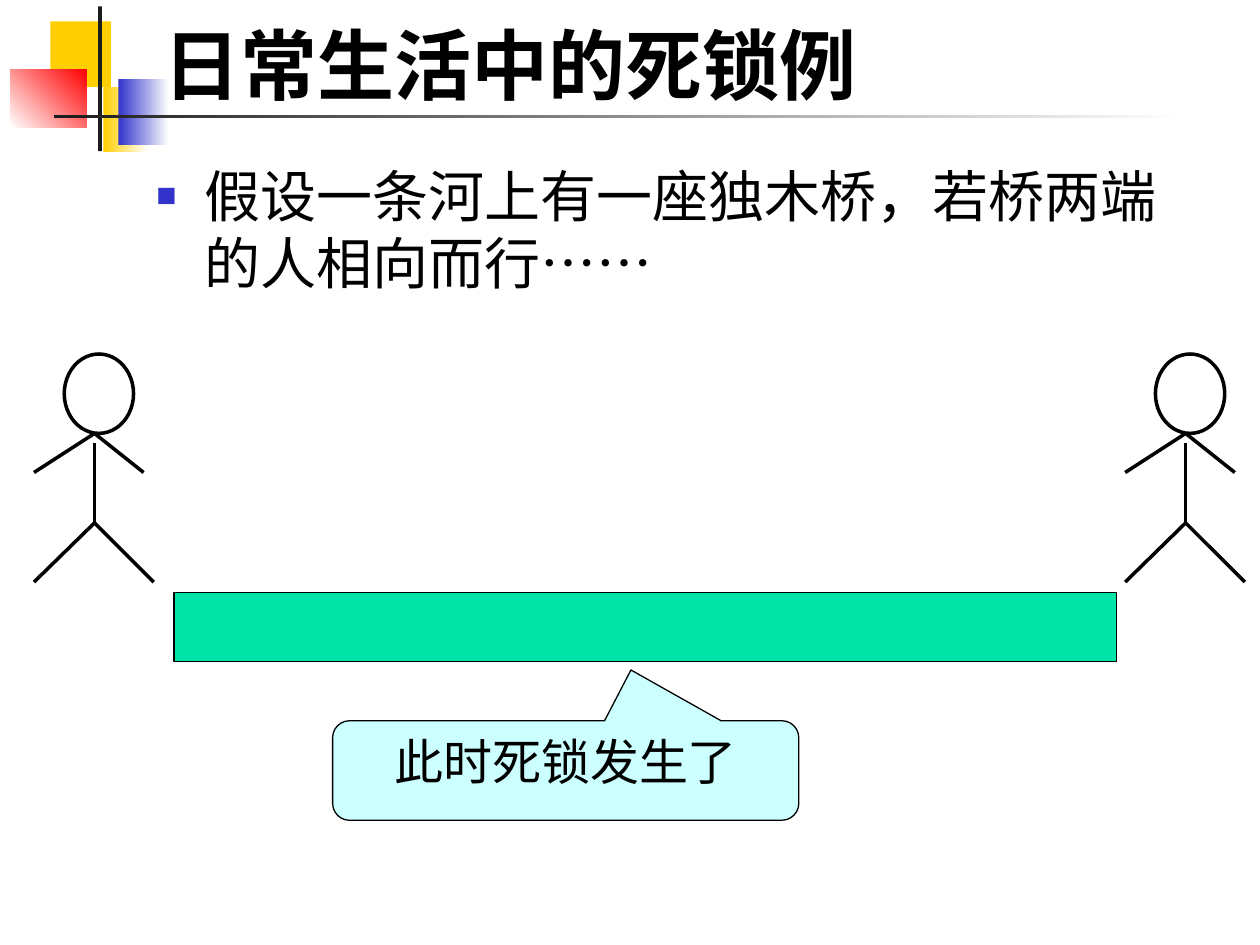
from lxml.etree import SubElement as Sub
from pptx import Presentation
from pptx.dml.color import RGBColor as Rgb
from pptx.enum.shapes import MSO_CONNECTOR as Conn, MSO_SHAPE as Shape
from pptx.enum.text import MSO_ANCHOR as Anchor, MSO_AUTO_SIZE as Auto, PP_ALIGN as Align
from pptx.oxml.ns import qn
from pptx.util import Inches, Pt

INK = {name: Rgb.from_string(code) for name, code in {
    "black": "000000", "white": "FFFFFF", "gold": "FFCF01", "blue": "3333CC",
    "red": "FF0000", "dark": "1C1C1C", "green": "00E4A8", "pale": "CCFFFF"}.items()}

deck = Presentation()
deck.slide_width, deck.slide_height = Inches(10), Inches(7.5)
COL, ROW = deck.slide_width / 100, deck.slide_height / 75  # grid of 100 x 75

slide = deck.slides.add_slide(deck.slide_layouts[1])
title, body = slide.placeholders
tree = slide.shapes


def draw(home, kind, box, fill=None, fade=None, angle=0, line=None):
    """Add a preset shape to home; fade is the second colour of a gradient."""
    x, y, w, h = box
    item = home.add_shape(kind, int(x * COL), int(y * ROW), int(w * COL), int(h * ROW))
    item.shadow.inherit = False
    if fade:
        item.fill.gradient()
        item.fill.gradient_angle = angle
        for stop, name in zip(item.fill.gradient_stops, (fill, fade)):
            stop.color.rgb = INK[name]
    elif fill:
        item.fill.solid()
        item.fill.fore_color.rgb = INK[fill]
    else:
        item.fill.background()
    if line:
        item.line.color.rgb, item.line.width = INK["black"], Pt(line)
    else:
        item.line.fill.background()
    return item


def write(item, text, size, **form):
    """Fill item with one left-aligned paragraph; form holds more font values."""
    para = item.text_frame.paragraphs[0]
    para.text = text
    para.alignment = Align.LEFT
    para.space_before = Pt(0)
    for key, value in {"name": "Roboto", "size": Pt(size), **form}.items():
        setattr(para.runs[0].font, key, value)
    para.runs[0].font.color.rgb = INK["black"]
    return para


# Corner ornament
for box, *look in (
    ((4, 1.7, 4.8, 5.2), "gold"),
    ((8.2, 6.9, 3.6, 5.2), "gold", "white"),
    ((9.4, 6.3, 4, 5.2), "blue", "white"),
    ((0.8, 5.5, 6.1, 4.6), "white", "red", 45),
    ((7.8, 0.5, 0.3, 11.5), "dark"),
    ((4.3, 9.1, 90, 0.3), "dark", "white"),
):
    draw(tree, Shape.RECTANGLE, box, *look)

# Title and body, stacked above the ornament
for item, (x, y, w, h), anchor in (
    (title, (12, 1.7, 85.2, 7.5), Anchor.BOTTOM),
    (body, (11.4, 12.3, 85, 13.4), Anchor.TOP),
):
    item.left, item.top, item.width, item.height = (
        int(x * COL), int(y * ROW), int(w * COL), int(h * ROW))
    item.text_frame.auto_size = Auto.NONE
    item.text_frame.vertical_anchor = anchor
    tree._spTree.append(item._element)

write(title, "日常生活中的死锁例", 44, bold=True)
para = write(body, "假设一条河上有一座独木桥，若桥两端的人相向而行……", 32)
props = para._p.get_or_add_pPr()
for key, value in {"marL": 0.38, "indent": -0.38}.items():
    props.set(key, str(Inches(value)))
Sub(Sub(props, qn("a:buClr")), qn("a:srgbClr"), val=str(INK["blue"]))
Sub(props, qn("a:buSzPct"), val="60000")
Sub(props, qn("a:buChar"), char="■")

# Bridge
draw(tree, Shape.RECTANGLE, (13.8, 47, 74.8, 5.5), "green", line=0.75)

# One person at each end
LIMBS = (
    (4.8, 34.4, 0, 37.5), (4.8, 34.4, 8.7, 37.5),  # arms
    (4.8, 35.2, 4.8, 41.5),  # trunk
    (4.8, 41.5, 0, 46.2), (4.8, 41.5, 9.5, 46.2),  # legs
)
for left in (2.7, 89.3):
    man = tree.add_group_shape().shapes
    draw(man, Shape.OVAL, (left + 2.4, 28.1, 5.5, 6.3), line=2)
    for x1, y1, x2, y2 in LIMBS:
        limb = man.add_connector(
            Conn.STRAIGHT, int((left + x1) * COL), int(y1 * ROW),
            int((left + x2) * COL), int(y2 * ROW))
        limb.line.color.rgb, limb.line.width = INK["black"], Pt(2)
        Sub(limb._element.spPr, qn("a:effectLst"))

# Callout
note = draw(tree, Shape.ROUNDED_RECTANGULAR_CALLOUT, (26.4, 57.2, 37, 7.9), "pale", line=0.75)
for spot, value in enumerate((0.14, -1.01, 0.17)):
    note.adjustments[spot] = value
note.text_frame.vertical_anchor = Anchor.TOP
write(note, "此时死锁发生了", 28).alignment = Align.CENTER

deck.save("out.pptx")
